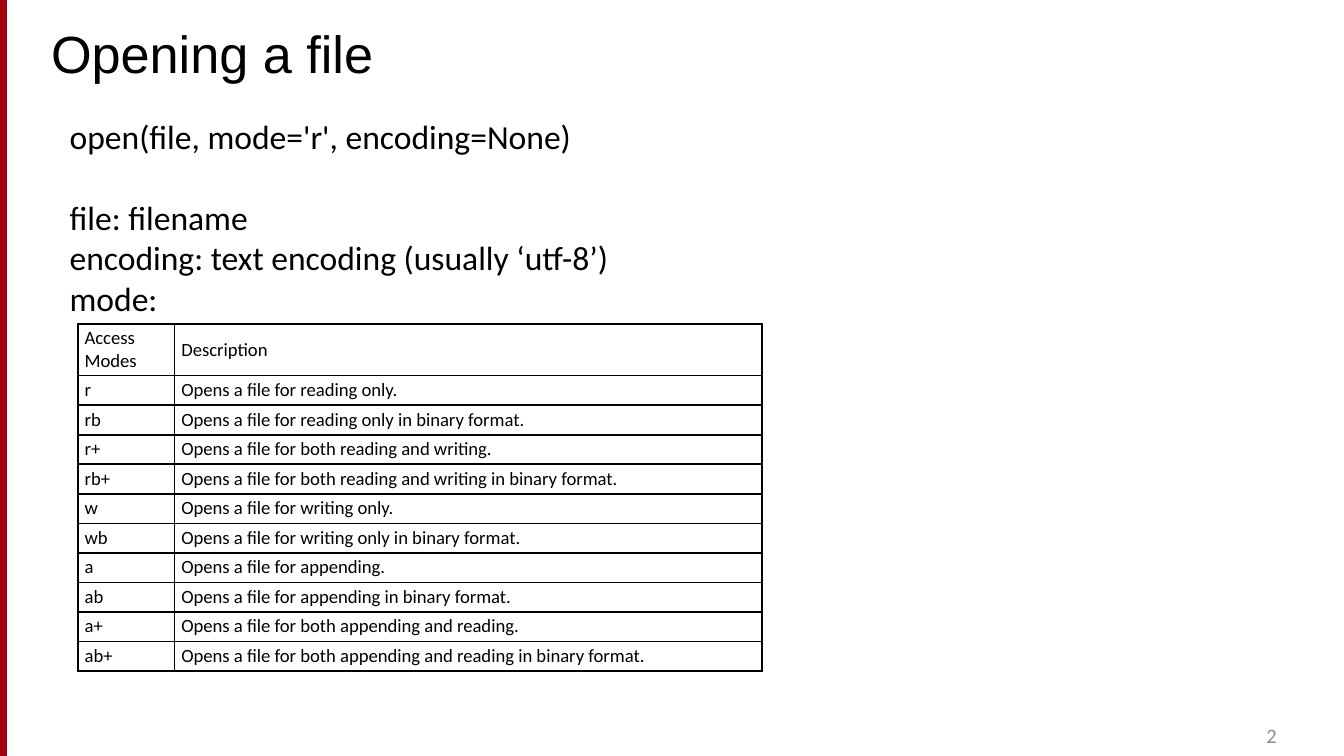
from dataclasses import dataclass

from lxml.etree import SubElement
from pptx import Presentation
from pptx.dml.color import RGBColor
from pptx.enum.shapes import MSO_CONNECTOR, MSO_SHAPE
from pptx.enum.text import MSO_ANCHOR, PP_ALIGN
from pptx.oxml.ns import qn
from pptx.util import Inches, Pt


@dataclass(frozen=True)
class Theme:
    ink: str = "000000"
    muted: str = "8C8C8C"
    stripe: str = "A40508"
    stripe_edge: str = "A4001D"
    heading_font: str = "Arial"
    body_font: str = "Calibri"
    title_size: int = 28
    body_size: int = 18
    number_size: int = 11
    table_size: int = 10


THEME = Theme()

ACCESS_MODES = [
    ("Access Modes", "Description"),
    ("r", "Opens a file for reading only."),
    ("rb", "Opens a file for reading only in binary format."),
    ("r+", "Opens a file for both reading and writing."),
    ("rb+", "Opens a file for both reading and writing in binary format."),
    ("w", "Opens a file for writing only."),
    ("wb", "Opens a file for writing only in binary format."),
    ("a", "Opens a file for appending."),
    ("ab", "Opens a file for appending in binary format."),
    ("a+", "Opens a file for both appending and reading."),
    ("ab+", "Opens a file for both appending and reading in binary format."),
]


def style_font(para, size, color=THEME.ink, name=THEME.body_font):
    para.font.size = Pt(size)
    para.font.name = name
    para.font.color.rgb = RGBColor.from_string(color)


def set_margins(holder, left, top, right, bottom):
    """Set the inner margins of a text frame or a table cell."""
    holder.margin_left, holder.margin_top = left, top
    holder.margin_right, holder.margin_bottom = right, bottom


def add_text(page, left, top, width, height, lines, size, margins=(0, 0, 0, 0), **font):
    """Add a text box with one paragraph a line and return its paragraphs."""
    box = page.shapes.add_textbox(
        Inches(left), Inches(top), Inches(width), Inches(height))
    frame = box.text_frame
    frame.word_wrap = True
    set_margins(frame, *map(Inches, margins))
    frame.text = "\n".join(lines)
    for para in frame.paragraphs:
        style_font(para, size, **font)
    return frame.paragraphs


def add_side_stripe(page, height):
    line = page.shapes.add_connector(
        MSO_CONNECTOR.STRAIGHT, Inches(0.02), 0, Inches(0.02), height)
    line.line.color.rgb = RGBColor.from_string(THEME.stripe)
    line.line.width = Pt(3.6)
    SubElement(line._element.spPr, qn("a:effectLst"))

    edge = page.shapes.add_shape(MSO_SHAPE.RECTANGLE, 0, 0, Inches(0.05), height)
    edge.shadow.inherit = False
    edge.fill.background()
    edge.line.color.rgb = RGBColor.from_string(THEME.stripe_edge)
    edge.line.width = Pt(0.75)


def add_cell_borders(cell):
    properties = cell._tc.get_or_add_tcPr()
    for position, side in enumerate(("lnL", "lnR", "lnT", "lnB")):
        border = properties.makeelement(qn(f"a:{side}"), {"w": str(Pt(1))})
        fill = SubElement(border, qn("a:solidFill"))
        SubElement(fill, qn("a:srgbClr"), val=THEME.ink)
        properties.insert(position, border)


def add_modes_table(page, left, top, column_widths, height, row_height):
    """Add the table; its header row grows to hold two lines of text."""
    holder = page.shapes.add_table(
        len(ACCESS_MODES), len(column_widths), Inches(left), Inches(top),
        Inches(sum(column_widths)), Inches(height))
    table = holder.table
    table.first_row = table.horz_banding = False
    for column, width in zip(table.columns, column_widths):
        column.width = Inches(width)
    for row, texts in zip(table.rows, ACCESS_MODES):
        row.height = Inches(row_height)
        for cell, text in zip(row.cells, texts):
            cell.text = text
            cell.fill.background()
            cell.vertical_anchor = MSO_ANCHOR.MIDDLE
            set_margins(cell, Inches(0.05), Pt(1.85), Inches(0.05), Pt(1.85))
            style_font(cell.text_frame.paragraphs[0], THEME.table_size)
            add_cell_borders(cell)
    holder.height = Inches(height)


def main():
    deck = Presentation()
    deck.slide_width = Inches(10)
    deck.slide_height = deck.slide_width * 9 // 16
    page = deck.slides.add_slide(deck.slide_layouts[6])

    add_side_stripe(page, deck.slide_height)
    add_text(page, 0.02, 0.15, 6.96, 0.49, ["Opening a file"], THEME.title_size,
             margins=(0.36, 0.01, 0, 0), name=THEME.heading_font)
    number = add_text(page, 7.2, 5.38, 2.3, 0.19, ["2"], THEME.number_size,
                      color=THEME.muted)
    number[0].alignment = PP_ALIGN.RIGHT

    signature, *_ = add_text(
        page, 0.42, 0.81, 7.3, 1.62,
        ["open(file, mode='r', encoding=None)", "file: filename",
         "encoding: text encoding (usually ‘utf-8’)", "mode:"],
        THEME.body_size, margins=(0.1, 0.05, 0.1, 0.05))
    signature.space_after = Pt(22)

    add_modes_table(page, 0.58, 2.41, (0.72, 4.37), height=2.59, row_height=0.22)
    deck.save("out.pptx")


if __name__ == "__main__":
    main()
